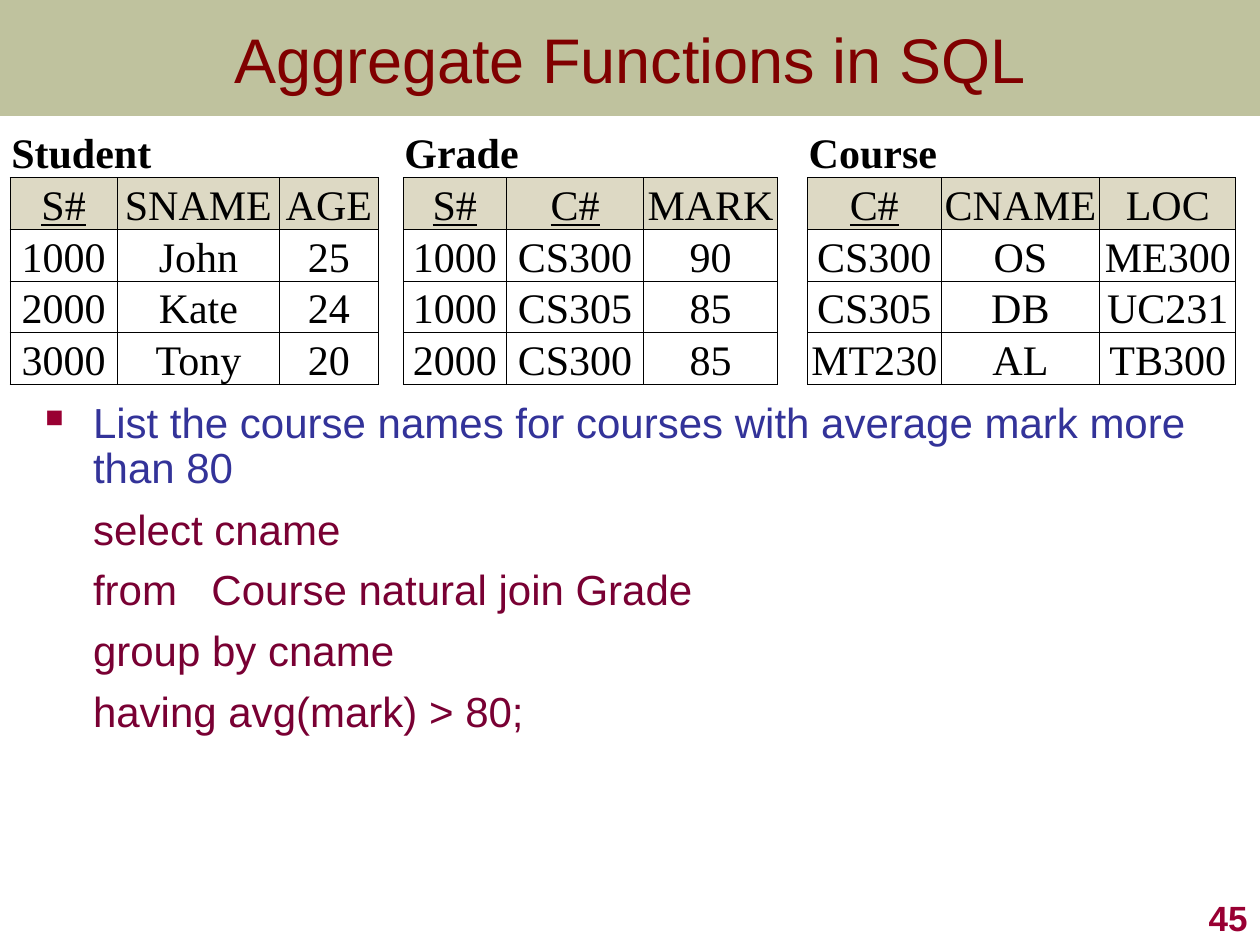
from lxml.etree import SubElement
from pptx import Presentation
from pptx.dml.color import RGBColor
from pptx.enum.text import MSO_ANCHOR as Anchor, PP_ALIGN as Align
from pptx.oxml.ns import qn
from pptx.util import Inches, Pt

COLORS = {
    "band": "6E7524",
    "title": "800000",
    "question": "333399",
    "query": "790033",
    "accent": "990033",
    "header": "DDD9C4",
    "white": "FFFFFF",
    "black": "000000",
}
RELATIONS = [
    ("Student", [0.85, 1.29, 0.78], ["S#"], [
        ["S#", "SNAME", "AGE"],
        ["1000", "John", "25"],
        ["2000", "Kate", "24"],
        ["3000", "Tony", "20"],
    ]),
    ("Grade", [0.82, 1.09, 1.06], ["S#", "C#"], [
        ["S#", "C#", "MARK"],
        ["1000", "CS300", "90"],
        ["1000", "CS305", "85"],
        ["2000", "CS300", "85"],
    ]),
    ("Course", [1.06, 1.26, 1.08], ["C#"], [
        ["C#", "CNAME", "LOC"],
        ["CS300", "OS", "ME300"],
        ["CS305", "DB", "UC231"],
        ["MT230", "AL", "TB300"],
    ]),
]
GAPS = [0.2, 0.24]
ROW_COUNT = 5
ROW_HEIGHT = 0.38
QUESTION = "List the course names for courses with average mark more than 80"
QUERY = [
    "select cname",
    "from\tCourse natural join Grade",
    "group by cname",
    "having avg(mark) > 80;",
]


def color(name):
    return RGBColor.from_string(COLORS[name])


def set_font(para, name, size, ink, bold=False):
    font = para.font
    font.name, font.size, font.bold = name, Pt(size), bold
    font.color.rgb = color(ink)


def place(shape, box):
    shape.left, shape.top, shape.width, shape.height = map(Inches, box)


def add_title(page, box):
    title = page.shapes.title
    place(title, box)
    title.fill.solid()
    title.fill.fore_color.rgb = color("band")
    fill_color = title.fill._xPr.find(qn("a:solidFill"))[0]
    SubElement(fill_color, qn("a:alpha"), val="44000")
    frame = title.text_frame
    frame.text = "Aggregate Functions in SQL"
    frame.vertical_anchor = Anchor.MIDDLE
    para = frame.paragraphs[0]
    para.alignment = Align.CENTER
    set_font(para, "Arial", 36, "title")


def set_borders(cell, visible):
    properties = cell._tc.get_or_add_tcPr()
    for side in "LRTB":
        line = SubElement(properties, qn(f"a:ln{side}"), w=str(Pt(0.5)))
        if side in visible:
            fill = SubElement(line, qn("a:solidFill"))
            SubElement(fill, qn("a:srgbClr"), val=COLORS["black"])
        else:
            SubElement(line, qn("a:noFill"))


def style_cell(cell, borders, fill="white"):
    set_borders(cell, borders)
    cell.fill.solid()
    cell.fill.fore_color.rgb = color(fill)
    cell.margin_left = cell.margin_right = cell.margin_top = Inches(0.01)
    cell.margin_bottom = 0
    cell.vertical_anchor = Anchor.BOTTOM


def write_cell(cell, text, bold=False, underline=False, align=Align.CENTER):
    cell.text = text
    para = cell.text_frame.paragraphs[0]
    para.alignment = align
    set_font(para, "Times New Roman", 24, "black", bold)
    para.font.underline = underline


def fill_relation(table, first, name, keys, rows):
    last = first + len(rows[0]) - 1
    for column in range(first, last + 1):
        style_cell(table.cell(0, column), "B")
    table.cell(0, first).merge(table.cell(0, last))
    write_cell(table.cell(0, first), name, bold=True, align=Align.LEFT)
    for row, values in enumerate(rows, 1):
        for column, value in enumerate(values, first):
            cell = table.cell(row, column)
            style_cell(cell, "LRTB", "header" if row == 1 else "white")
            write_cell(cell, value, underline=row == 1 and value in keys)


def add_relations(page, left, top):
    widths = []
    for index, relation in enumerate(RELATIONS):
        widths += GAPS[index - 1:index] if index else []
        widths += relation[1]
    table = page.shapes.add_table(
        ROW_COUNT, len(widths), Inches(left), Inches(top),
        Inches(sum(widths)), Inches(ROW_COUNT * ROW_HEIGHT)).table
    table.first_row = table.horz_banding = False
    for column, width in zip(table.columns, widths):
        column.width = Inches(width)
    for row in table.rows:
        row.height = Inches(ROW_HEIGHT)

    first = 0
    for name, columns, keys, rows in RELATIONS:
        fill_relation(table, first, name, keys, rows)
        gap = first + len(columns)
        if gap < len(widths):
            for row in range(ROW_COUNT):
                style_cell(table.cell(row, gap), "LR" if row else "")
        first = gap + 1


def set_indent(para, left, hanging):
    properties = para._p.get_or_add_pPr()
    properties.set("marL", str(Inches(left)))
    properties.set("indent", str(Inches(-hanging)))
    return properties


def add_query(page, box):
    frame = page.shapes.add_textbox(*map(Inches, box)).text_frame
    frame.word_wrap = True
    frame.margin_right = 0
    for index, text in enumerate([QUESTION] + QUERY):
        para = frame.paragraphs[0] if index == 0 else frame.add_paragraph()
        para.space_before = Pt(6)
        if index:
            para.text = text
            set_indent(para, 1.32, 0.94)
            set_font(para, "Arial", 24, "query")
            continue
        para.text = text
        para.line_spacing = 0.9
        properties = set_indent(para, 0.38, 0.38)
        bullet_color = SubElement(properties, qn("a:buClr"))
        SubElement(bullet_color, qn("a:srgbClr"), val=COLORS["accent"])
        SubElement(properties, qn("a:buSzPct"), val="60000")
        SubElement(properties, qn("a:buChar"), char="■")
        set_font(para, "Arial", 24, "question")


def add_page_number(page, box):
    frame = page.shapes.add_textbox(*map(Inches, box)).text_frame
    frame.word_wrap = True
    frame.vertical_anchor = Anchor.BOTTOM
    para = frame.paragraphs[0]
    para.text = "45"
    para.alignment = Align.RIGHT
    set_font(para, "Arial", 20, "accent", bold=True)


def main():
    deck = Presentation()
    deck.slide_width, deck.slide_height = Inches(10), Inches(7.5)
    page = deck.slides.add_slide(deck.slide_layouts[5])
    add_query(page, (0.26, 3.14, 9.49, 4.35))
    add_page_number(page, (7.92, 7, 2.08, 0.5))
    add_title(page, (0, 0, 10, 0.92))
    add_relations(page, 0.08, 1)
    deck.save("out.pptx")


if __name__ == "__main__":
    main()
